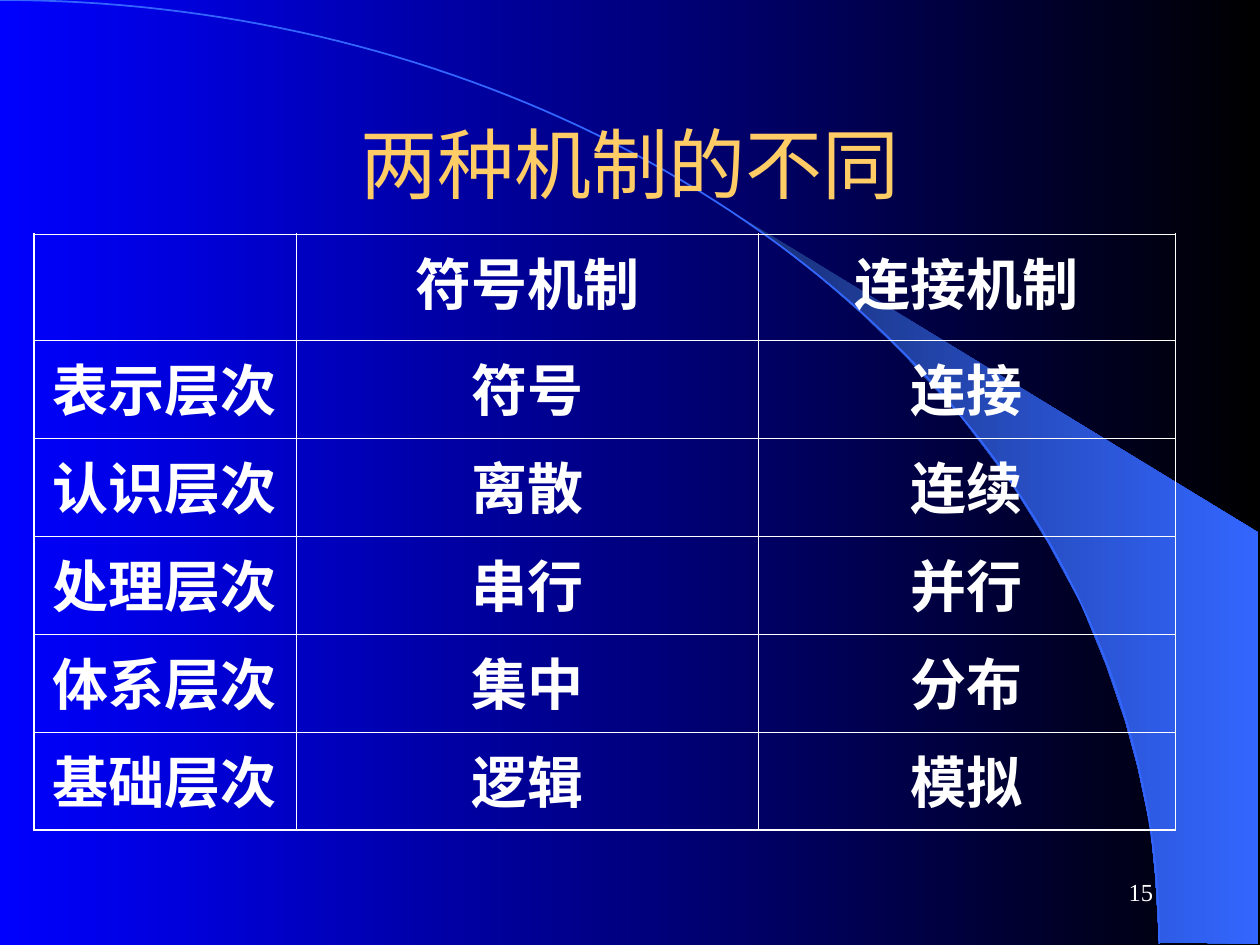
import math
from dataclasses import dataclass

from lxml import etree
from pptx import Presentation
from pptx import util as u
from pptx.dml.color import RGBColor
from pptx.enum import text
from pptx.oxml.ns import qn


@dataclass(frozen=True)
class Theme:
    blue: str = "0000FF"
    black: str = "000000"
    deep: str = "182F76"
    bright: str = "3366FF"
    gold: str = "FFCC66"
    white: str = "FFFFFF"
    han: str = "Noto Sans CJK SC"
    roman: str = "Times New Roman"
    title: int = 44
    body: int = 32
    small: int = 14
    thick: float = 1.08
    thin: float = 0.45


THEME = Theme()
COLUMNS, ROWS = 100, 75
CENTER, RIGHT = text.PP_ALIGN.CENTER, text.PP_ALIGN.RIGHT

HEADINGS = ["", "符号机制", "连接机制"]
LEVELS = [
    ["表示层次", "符号", "连接"],
    ["认识层次", "离散", "连续"],
    ["处理层次", "串行", "并行"],
    ["体系层次", "集中", "分布"],
    ["基础层次", "逻辑", "模拟"],
]
ARC_WIDTH, ARC_HEIGHT = 92, 74.9
WEDGE = [
    (92, 74.8), (99.9, 74.9), (99.9, 42.3), (58.9, 17.3), (62.4, 19.9),
    (65.3, 22.2), (68.5, 25), (71.6, 28), (76.2, 33), (80.3, 38.4),
    (83.2, 43.1), (85.8, 47.9), (87.8, 52.8), (89.3, 57.2), (90.3, 60.9),
    (91.3, 65.6), (91.7, 69.6),
]


def write(frame, words, *, size, color, font=THEME.han, bold=False,
          align=CENTER, before=0):
    para = frame.paragraphs[0]
    para.alignment = align
    para.space_before = u.Pt(before)
    span = para.add_run()
    span.text = words
    span.font.name = font
    span.font.size = u.Pt(size)
    span.font.bold = bold
    span.font.color.rgb = RGBColor.from_string(color)
    east_asian = etree.SubElement(span.font._element, qn("a:ea"))
    east_asian.set("typeface", font)


def shade(fill, start, end):
    """Fill with a gradient that runs from left to right."""
    fill.gradient()
    fill.gradient_angle = 0
    for stop, color, position in zip(fill.gradient_stops, (start, end), (0, 1)):
        stop.color.rgb = RGBColor.from_string(color)
        stop.position = position


def border(cell, side, width, color):
    line = etree.SubElement(cell._tc.get_or_add_tcPr(), qn(f"a:ln{side}"))
    line.set("w", str(u.Pt(width)))
    solid = etree.SubElement(line, qn("a:solidFill"))
    etree.SubElement(solid, qn("a:srgbClr")).set("val", color)


class Page:
    def __init__(self, deck, theme):
        self.theme = theme
        self.column = deck.slide_width / COLUMNS
        self.row = deck.slide_height / ROWS
        self.slide = deck.slides.add_slide(deck.slide_layouts[5])

    def across(self, columns):
        return u.Emu(round(columns * self.column))

    def down(self, rows):
        return u.Emu(round(rows * self.row))

    def place(self, left, top, width, height):
        return (self.across(left), self.down(top),
                self.across(width), self.down(height))

    def background(self):
        shade(self.slide.background.fill, self.theme.blue, self.theme.black)

    def outline(self, points, close):
        corners = [(self.across(x), self.down(y)) for x, y in points]
        builder = self.slide.shapes.build_freeform(*corners[0])
        builder.add_line_segments(corners[1:], close=close)
        shape = builder.convert_to_shape()
        shape.shadow.inherit = False
        return shape

    def wedge(self, points):
        shape = self.outline(points, close=True)
        shade(shape.fill, self.theme.deep, self.theme.bright)
        shape.line.fill.background()

    def arc(self, width, height, steps=90):
        """Draw a quarter ellipse from the top left corner."""
        angles = [math.pi / 2 * step / steps for step in range(steps + 1)]
        shape = self.outline([(width * math.sin(angle),
                               height * (1 - math.cos(angle)))
                              for angle in angles], close=False)
        shape.fill.background()
        shape.line.color.rgb = RGBColor.from_string(self.theme.bright)
        shape.line.width = u.Pt(1)

    def title(self, words, *area):
        box = self.slide.shapes.title
        box.left, box.top, box.width, box.height = self.place(*area)
        frame = box.text_frame
        frame.auto_size = text.MSO_AUTO_SIZE.NONE
        frame.vertical_anchor = text.MSO_ANCHOR.MIDDLE
        write(frame, words, size=self.theme.title, color=self.theme.gold)
        # The title must lie in front of the decoration.
        self.slide.shapes._spTree.append(box._element)

    def number(self, words, *area):
        frame = self.slide.shapes.add_textbox(*self.place(*area)).text_frame
        frame.word_wrap = True
        frame.vertical_anchor = text.MSO_ANCHOR.MIDDLE
        write(frame, words, size=self.theme.small, color=self.theme.white,
              font=self.theme.roman, align=RIGHT)

    def table(self, rows, left, top, widths, heights):
        area = self.place(left, top, sum(widths), sum(heights))
        table = self.slide.shapes.add_table(
            len(rows), len(widths), *area).table
        table.first_row = table.horz_banding = False
        for column, width in zip(table.columns, widths):
            column.width = self.across(width)
        for row, height in zip(table.rows, heights):
            row.height = self.down(height)
        last_row, last_column = len(rows) - 1, len(widths) - 1
        for r, row in enumerate(rows):
            for c, words in enumerate(row):
                cell = table.cell(r, c)
                outer = {"L": c == 0, "R": c == last_column,
                         "T": r == 0, "B": r == last_row}
                for side, is_outer in outer.items():
                    width = self.theme.thick if is_outer else self.theme.thin
                    border(cell, side, width, self.theme.white)
                cell.fill.background()
                if words:
                    write(cell.text_frame, words, size=self.theme.body,
                          color=self.theme.white, bold=True, before=8)


def main():
    deck = Presentation()
    deck.slide_width, deck.slide_height = u.Inches(10), u.Inches(7.5)
    page = Page(deck, THEME)
    page.background()
    page.wedge(WEDGE)
    page.arc(ARC_WIDTH, ARC_HEIGHT)
    page.number("15", 71.7, 68.3, 20.8, 5)
    page.title("两种机制的不同", 7.5, 6.7, 85, 12.5)
    page.table([HEADINGS] + LEVELS, 2.7, 18.6, widths=[20.8, 36.7, 33.1],
               heights=[8.4] + [7.78] * len(LEVELS))
    deck.save("out.pptx")


if __name__ == "__main__":
    main()
